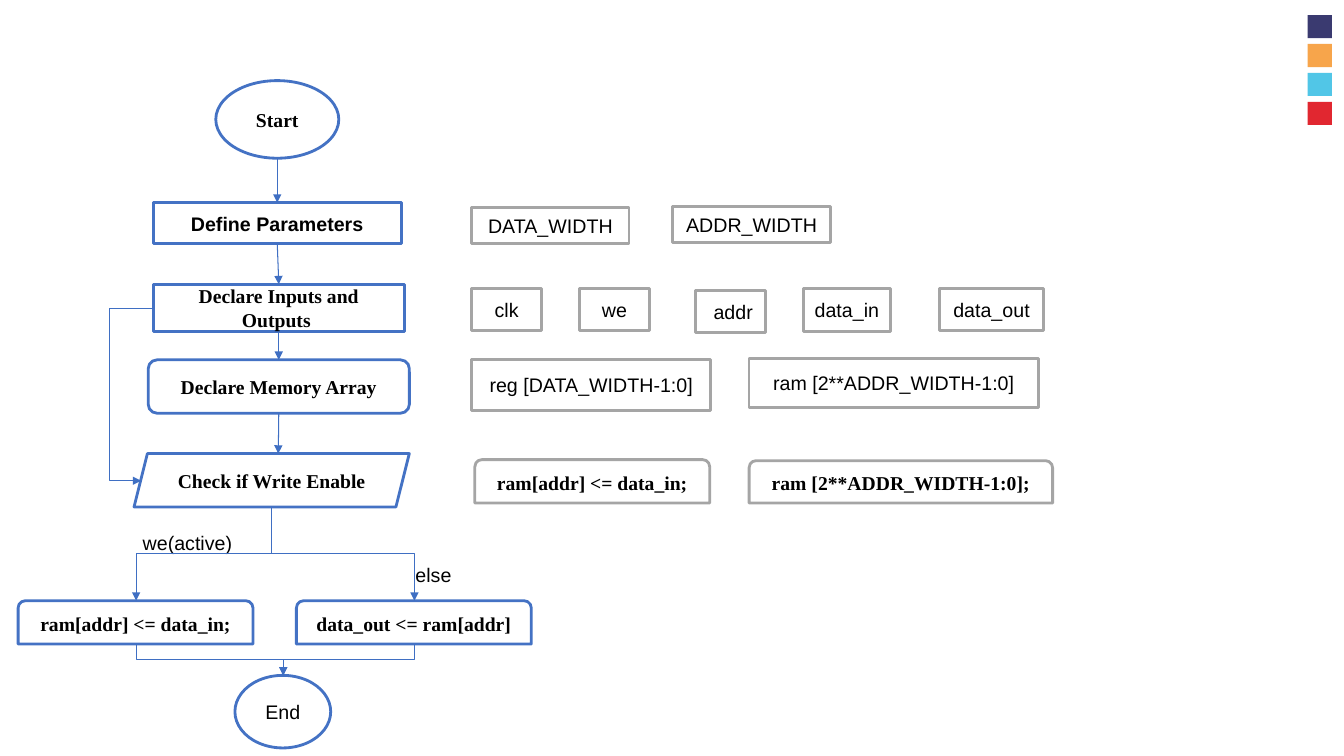
"""Build a flowchart slide for a RAM module with write enable."""
from typing import NamedTuple

from lxml.etree import SubElement
from pptx import Presentation
from pptx.dml.color import RGBColor
from pptx.enum.shapes import MSO_CONNECTOR, MSO_SHAPE
from pptx.enum.text import MSO_ANCHOR, PP_ALIGN
from pptx.oxml.ns import qn
from pptx.util import Emu, Pt

PX = 9144
SANS, SERIF = "Arial", "Times New Roman"
COLORS = {
    "white": "FFFFFF", "black": "000000", "step": "4472C4", "detail": "A5A5A5",
    "arrow": "3F6FC3", "navy": "3A3A70", "orange": "F7A54B", "cyan": "51C6E7",
    "red": "E12730",
}


class Box(NamedTuple):
    """A text-bearing box; lengths in px."""
    text: str
    left: int
    top: int
    width: int
    height: int
    shape: MSO_SHAPE = MSO_SHAPE.RECTANGLE
    font: str = SERIF
    bold: bool = True


class Arrow(NamedTuple):
    """A straight arrow, optionally glued to the named boxes."""
    x1: int
    y1: int
    x2: int
    y2: int
    source: str = ""
    target: str = ""


class Drop(NamedTuple):
    """An elbow arrow that leaves downwards and arrives downwards."""
    x1: int
    y1: int
    x2: int
    y2: int


ROUND, TAB = MSO_SHAPE.ROUNDED_RECTANGLE, MSO_SHAPE.ROUND_2_SAME_RECTANGLE
DEFINE, DECLARE, MEMORY = "Define Parameters", "Declare Inputs and Outputs ", "Declare Memory Array"
STEPS = [
    Box("Start", 214, 80, 122, 77, MSO_SHAPE.OVAL),
    Box(DEFINE, 152, 201, 246, 41, font=SANS),
    Box(DECLARE, 152, 282, 249, 47),
    Box(MEMORY, 147, 357, 259, 53, ROUND),
    Box("Check if Write Enable", 133, 450, 273, 53, MSO_SHAPE.PARALLELOGRAM),
    Box("ram[addr] <= data_in;", 18, 596, 233, 43, TAB),
    Box("data_out <= ram[addr]", 294, 596, 233, 43, TAB),
    Box("End", 233, 670, 95, 72, MSO_SHAPE.OVAL, SANS, False),
]
DETAILS = [
    Box("DATA_WIDTH", 468, 206, 156, 36, font=SANS, bold=False),
    Box("ADDR_WIDTH", 667, 205, 157, 36, font=SANS, bold=False),
    Box("clk", 468, 286, 69, 42, font=SANS, bold=False),
    Box("we", 575, 286, 69, 42, font=SANS, bold=False),
    Box(" addr", 690, 288, 69, 42, font=SANS, bold=False),
    Box("data_in", 797, 286, 86, 43, font=SANS, bold=False),
    Box("data_out", 932, 286, 103, 42, font=SANS, bold=False),
    Box("reg [DATA_WIDTH-1:0]", 468, 357, 237, 50, font=SANS, bold=False),
    Box("ram [2**ADDR_WIDTH-1:0]", 743, 356, 287, 48, font=SANS, bold=False),
    Box("ram[addr] <= data_in;", 471, 456, 233, 43, TAB),
    Box("ram [2**ADDR_WIDTH-1:0];", 743, 457, 301, 42, TAB),
]
LABELS = [
    Box("we(active)", 128, 522, 116, 34, font=SANS, bold=False),
    Box("else", 387, 554, 86, 34, font=SANS, bold=False),
]
ARROWS = [
    Arrow(275, 158, 275, 201, target=DEFINE),
    Arrow(275, 242, 276, 282, DEFINE, DECLARE),
    Arrow(276, 329, 276, 357, DECLARE, MEMORY),
    Arrow(276, 410, 276, 450, MEMORY),
]
DROPS = [
    Drop(269, 503, 135, 596),
    Drop(269, 503, 411, 596),
    Drop(411, 639, 281, 670),
    Drop(135, 639, 281, 670),
]


def px(value: float) -> Emu:
    """Turn px into EMU."""
    return Emu(round(value * PX))


def rgb(name: str) -> RGBColor:
    """Look up a named colour."""
    return RGBColor.from_string(COLORS[name])


def write(s, box: Box) -> None:
    """Set and format the text of a box."""
    tf = s.text_frame
    tf.word_wrap = True
    tf.text = box.text
    p = tf.paragraphs[0]
    p.alignment = PP_ALIGN.CENTER
    font = p.runs[0].font
    font.name, font.size, font.bold = box.font, Pt(14), box.bold
    font.color.rgb = rgb("black")


def add_box(shapes, box: Box, color: str):
    """Draw an outlined box."""
    s = shapes.add_shape(box.shape, *map(px, box[1:5]))
    s.shadow.inherit = False
    s.fill.solid()
    s.fill.fore_color.rgb = rgb("white")
    s.line.color.rgb = rgb(color)
    s.line.width = Pt(2)
    s.text_frame.vertical_anchor = MSO_ANCHOR.MIDDLE
    write(s, box)
    return s


def add_line(shapes, kind: MSO_CONNECTOR, *ends: float):
    """Draw a thin connector with an arrowhead at its end."""
    s = shapes.add_connector(kind, *map(px, ends))
    s.line.color.rgb = rgb("arrow")
    s.line.width = Pt(0.75)
    SubElement(s.line._get_or_add_ln(), qn("a:tailEnd"), type="triangle")
    SubElement(s._element.spPr, qn("a:effectLst"))
    return s


def add_drop(shapes, drop: Drop) -> None:
    """Draw a vertical-first elbow as a quarter-turned connector."""
    x, y = (drop.x1 + drop.x2) / 2, (drop.y1 + drop.y2) / 2
    turn = 1 if drop.x2 < drop.x1 else -1
    along, across = turn * (drop.y2 - drop.y1) / 2, abs(drop.x2 - drop.x1) / 2
    s = add_line(shapes, MSO_CONNECTOR.ELBOW, x - along, y - across, x + along, y + across)
    s._element.spPr.find(qn("a:xfrm")).set("rot", str(turn * 90 % 360 * 60000))


def add_bypass(shapes) -> None:
    """Draw the elbow looping left around the memory step."""
    s = add_line(shapes, MSO_CONNECTOR.ELBOW, 152, 306, 140, 477)
    guides = s._element.spPr.find(qn("a:prstGeom")).get_or_add_avLst()
    SubElement(guides, qn("a:gd"), name="adj1", fmla="val 363100")


def main() -> None:
    """Build and save the slide."""
    prs = Presentation()
    prs.slide_width, prs.slide_height = px(1333), px(750)
    shapes = prs.slides.add_slide(prs.slide_layouts[6]).shapes

    for i, color in enumerate(("navy", "orange", "cyan", "red")):
        s = shapes.add_shape(MSO_SHAPE.RECTANGLE, px(1297), px(15 + i * 86 / 3), px(24), px(23))
        s.shadow.inherit = False
        s.fill.solid()
        s.fill.fore_color.rgb = rgb(color)
        s.line.fill.background()

    steps = {box.text: add_box(shapes, box, "step") for box in STEPS}
    for box in DETAILS:
        add_box(shapes, box, "detail")
    for box in LABELS:
        write(shapes.add_textbox(*map(px, box[1:5])), box)

    for drop in DROPS:
        add_drop(shapes, drop)
    add_bypass(shapes)
    for arrow in ARROWS:
        s = add_line(shapes, MSO_CONNECTOR.STRAIGHT, *arrow[:4])
        if arrow.source:
            s.begin_connect(steps[arrow.source], 2)
        if arrow.target:
            s.end_connect(steps[arrow.target], 0)

    prs.save("out.pptx")


if __name__ == "__main__":
    main()
